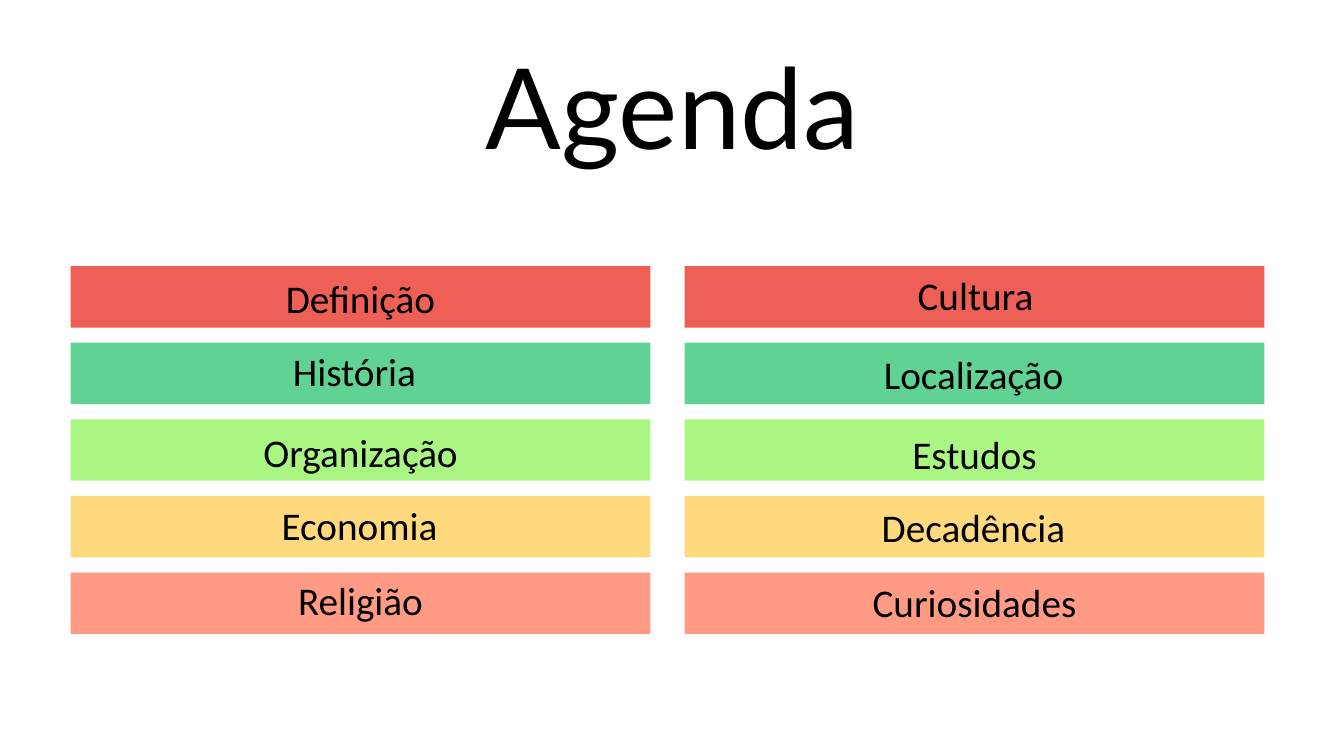
"""Build the agenda slide: a title above two columns of coloured topic bars."""
from pptx import Presentation
from pptx.dml.color import RGBColor
from pptx.enum.shapes import MSO_SHAPE
from pptx.enum.text import MSO_ANCHOR, PP_ALIGN
from pptx.util import Inches, Pt

RECTANGLE = MSO_SHAPE.RECTANGLE
CENTER = PP_ALIGN.CENTER
TOP, MIDDLE = MSO_ANCHOR.TOP, MSO_ANCHOR.MIDDLE

TITLE = "Agenda"
TOPIC_COLUMNS = [
    (0.7, [("Definição", 0.7, 2.67), ("História", 0.64, 3.4),
           ("Organização", 0.7, 4.2), ("Economia", 0.69, 4.92),
           ("Religião", 0.7, 5.67)]),
    (6.79, [("Cultura", 6.8, 2.64), ("Localização", 6.78, 3.43),
            ("Estudos", 6.79, 4.22), ("Decadência", 6.78, 4.94),
            ("Curiosidades", 6.79, 5.69)]),
]
THEME = {
    "bars": ["EE6055", "60D394", "AAF683", "FFD97D", "FF9B85"],
    "text": "000000",
    "title_font": "Lato", "title_size": 80,
    "topic_font": "Calibri", "topic_size": 28,
}
BAR_TOP, BAR_PITCH = 2.64, 0.76
BAR_WIDTH, BAR_HEIGHT, LABEL_HEIGHT = 5.75, 0.61, 0.57


def add_bar(slide, left, top, color):
    bar = slide.shapes.add_shape(RECTANGLE, Inches(left), Inches(top),
                                 Inches(BAR_WIDTH), Inches(BAR_HEIGHT))
    bar.shadow.inherit = False
    bar.fill.solid()
    bar.fill.fore_color.rgb = RGBColor.from_string(color)
    bar.line.fill.background()


def add_label(slide, words, box, role, anchor=TOP, line_spacing=1.0):
    frame = slide.shapes.add_textbox(*map(Inches, box)).text_frame
    frame.word_wrap = True
    frame.vertical_anchor = anchor
    frame.text = words
    paragraph = frame.paragraphs[0]
    paragraph.alignment = CENTER
    paragraph.line_spacing = line_spacing
    font = paragraph.runs[0].font
    font.name = THEME[role + "_font"]
    font.size = Pt(THEME[role + "_size"])
    font.color.rgb = RGBColor.from_string(THEME["text"])


def main():
    deck = Presentation()
    deck.slide_width, deck.slide_height = Inches(13.33), Inches(7.5)
    slide = deck.slides.add_slide(deck.slide_layouts[6])
    add_label(slide, TITLE, (0.92, 0.4, 11.5, 1.45), "title", MIDDLE, 0.9)
    for bar_left, topics in TOPIC_COLUMNS:
        for row, (topic, left, top) in enumerate(topics):
            add_bar(slide, bar_left, BAR_TOP + row * BAR_PITCH, THEME["bars"][row])
            add_label(slide, topic, (left, top, BAR_WIDTH, LABEL_HEIGHT), "topic")
    deck.save("out.pptx")


if __name__ == "__main__":
    main()
